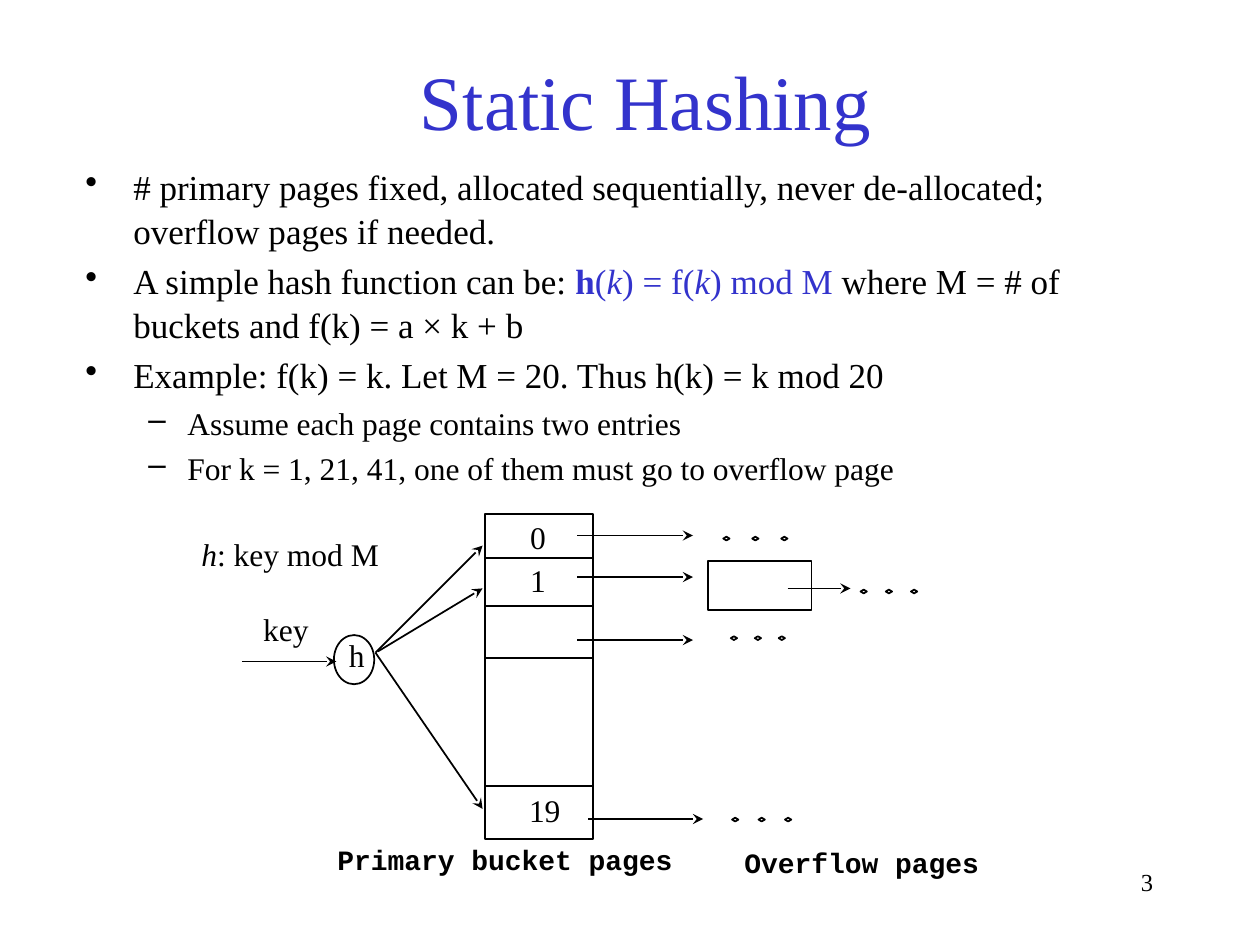
from dataclasses import dataclass

from lxml import etree
from pptx import Presentation
from pptx import util as u
from pptx.dml.color import RGBColor
from pptx.enum import shapes, text
from pptx.oxml import ns

BLACK, BLUE = "000000", "3333CC"
SERIF, MONO = "Times New Roman", "Courier New"


@dataclass
class Box:
    left: float
    top: float
    width: float
    height: float

    def lengths(self):
        return [u.Inches(v) for v in (self.left, self.top, self.width, self.height)]


@dataclass
class Span:
    text: str
    colour: str = BLACK
    bold: bool = False
    italic: bool = False


@dataclass
class Bullet:
    spans: list[Span]
    level: int = 0


@dataclass
class Dots:
    left: float
    top: float
    step: float


@dataclass
class Label:
    text: str
    box: Box
    size: int = 18
    font: str = SERIF
    bold: bool = False


def rgb(colour: str) -> RGBColor:
    return RGBColor.from_string(colour)


def add_span(para, words: str, *, size=18, font=SERIF, colour=BLACK, bold=False, italic=False):
    span = para.add_run()
    span.text = words
    span.font.size, span.font.name = u.Pt(size), font
    span.font.bold, span.font.italic = bold, italic
    span.font.color.rgb = rgb(colour)


def add_frame(page, box: Box, *, wrap=True, anchor=text.MSO_ANCHOR.TOP):
    frame = page.shapes.add_textbox(*box.lengths()).text_frame
    frame.word_wrap = wrap
    frame.vertical_anchor = anchor
    return frame


def add_bullet(para, bullet: Bullet, first: bool):
    margin, hang, mark, size = [(0.38, 0.38, "•", 20), (0.81, 0.31, "–", 18)][bullet.level]
    props = para._p.get_or_add_pPr()
    props.set("marL", str(u.Inches(margin)))
    props.set("indent", str(-u.Inches(hang)))
    etree.SubElement(props, ns.qn("a:buChar")).set("char", mark)
    para.level = bullet.level
    para.line_spacing = 1.04
    para.space_before = u.Pt(0 if first else size * 0.2)
    for span in bullet.spans:
        add_span(para, span.text, size=size, colour=span.colour,
                 bold=span.bold, italic=span.italic)


def add_outline(page, kind, box: Box):
    shape = page.shapes.add_shape(kind, *box.lengths())
    shape.shadow.inherit = False
    shape.fill.background()
    shape.line.color.rgb = rgb(BLACK)
    shape.line.width = u.Pt(1)


def add_line(page, x1: float, y1: float, x2: float, y2: float, arrow=False):
    line = page.shapes.add_connector(
        shapes.MSO_CONNECTOR.STRAIGHT, *[u.Inches(v) for v in (x1, y1, x2, y2)])
    line.line.color.rgb = rgb(BLACK)
    line.line.width = u.Pt(1)
    if arrow:
        outline = line.line._get_or_add_ln()
        etree.SubElement(outline, ns.qn("a:tailEnd")).set("type", "stealth")
    etree.SubElement(line._element.spPr, ns.qn("a:effectLst"))


BULLETS = [
    Bullet([Span("# primary pages fixed, allocated sequentially, never de-allocated; "
                 "overflow pages if needed.")]),
    Bullet([
        Span("A simple hash function can be: "),
        Span("h", BLUE, bold=True),
        Span("(", BLUE),
        Span("k", BLUE, italic=True),
        Span(") = f(", BLUE),
        Span("k", BLUE, italic=True),
        Span(") mod M", BLUE),
        Span(" where M = # of buckets and f(k) = a × k + b"),
    ]),
    Bullet([Span("Example: f(k) = k. Let M = 20. Thus h(k) = k mod 20")]),
    Bullet([Span("Assume each page contains two entries")], level=1),
    Bullet([Span("For k = 1, 21, 41, one of them must go to overflow page")], level=1),
]
LABELS = [
    Label("h", Box(2.67, 5, 0.32, 0.4)),
    Label("key", Box(1.99, 4.79, 0.56, 0.4)),
    Label("0", Box(4.11, 4.06, 0.32, 0.4)),
    Label("1", Box(4.11, 4.4, 0.32, 0.4)),
    Label("19", Box(4.1, 6.23, 0.45, 0.4)),
    Label("Primary bucket pages", Box(2.58, 6.64, 2.86, 0.36), 16, MONO, True),
    Label("Overflow pages", Box(5.81, 6.66, 2.06, 0.36), 16, MONO, True),
]
BUCKETS = Box(3.85, 4.08, 0.86, 2.58)
OVERFLOW_PAGE = Box(5.62, 4.45, 0.82, 0.39)
HASH_NODE = Box(2.65, 5.04, 0.32, 0.39)
ROW_LINES = [4.43, 4.81, 5.22, 6.24]
ELLIPSES = [Dots(5.74, 4.26, 0.23), Dots(6.83, 4.68, 0.2),
            Dots(5.8, 5.05, 0.19), Dots(5.81, 6.49, 0.21)]
ARROWS = [
    # key into the hash function, then to the buckets
    (1.92, 5.25, 2.67, 5.25),
    (2.98, 5.18, 3.83, 4.33),
    (3, 5.17, 3.83, 4.67),
    (2.98, 5.18, 3.83, 6.42),
    # buckets to overflow pages
    *[(4.58, y, 5.5, y) for y in (4.25, 4.58, 5.08)],
    (4.67, 6.5, 5.58, 6.5),
    (6.25, 4.67, 6.75, 4.67),
]


def main():
    deck = Presentation()
    deck.slide_width, deck.slide_height = u.Inches(10), u.Inches(7.5)
    page = deck.slides.add_slide(deck.slide_layouts[6])

    # Title and page number
    para = add_frame(page, Box(1.5, 0.5, 7.25, 0.58),
                     anchor=text.MSO_ANCHOR.MIDDLE).paragraphs[0]
    para.alignment = text.PP_ALIGN.CENTER
    add_span(para, "Static Hashing", size=44, colour=BLUE)
    para = add_frame(page, Box(7.17, 6.83, 2.08, 0.5)).paragraphs[0]
    para.alignment = text.PP_ALIGN.RIGHT
    add_span(para, "3", size=14)

    # Bullets
    frame = add_frame(page, Box(0.58, 1.25, 8.83, 4.92))
    for index, bullet in enumerate(BULLETS):
        para = frame.add_paragraph() if index else frame.paragraphs[0]
        add_bullet(para, bullet, first=index == 0)

    # Buckets, overflow page and hash function
    add_outline(page, shapes.MSO_SHAPE.RECTANGLE, BUCKETS)
    add_outline(page, shapes.MSO_SHAPE.RECTANGLE, OVERFLOW_PAGE)
    add_outline(page, shapes.MSO_SHAPE.OVAL, HASH_NODE)
    for y in ROW_LINES:
        add_line(page, BUCKETS.left, y, BUCKETS.left + BUCKETS.width, y)
    for dots in ELLIPSES:
        for index in range(3):
            add_outline(page, shapes.MSO_SHAPE.DIAMOND,
                        Box(dots.left + index * dots.step, dots.top, 0.05, 0.03))

    # Arrows and labels
    for ends in ARROWS:
        add_line(page, *ends, arrow=True)
    para = add_frame(page, Box(1.5, 4.2, 2.03, 0.4)).paragraphs[0]
    add_span(para, "h", italic=True)
    add_span(para, ": key mod M")
    for label in LABELS:
        para = add_frame(page, label.box, wrap=False).paragraphs[0]
        add_span(para, label.text, size=label.size, font=label.font, bold=label.bold)

    deck.save("out.pptx")


if __name__ == "__main__":
    main()
